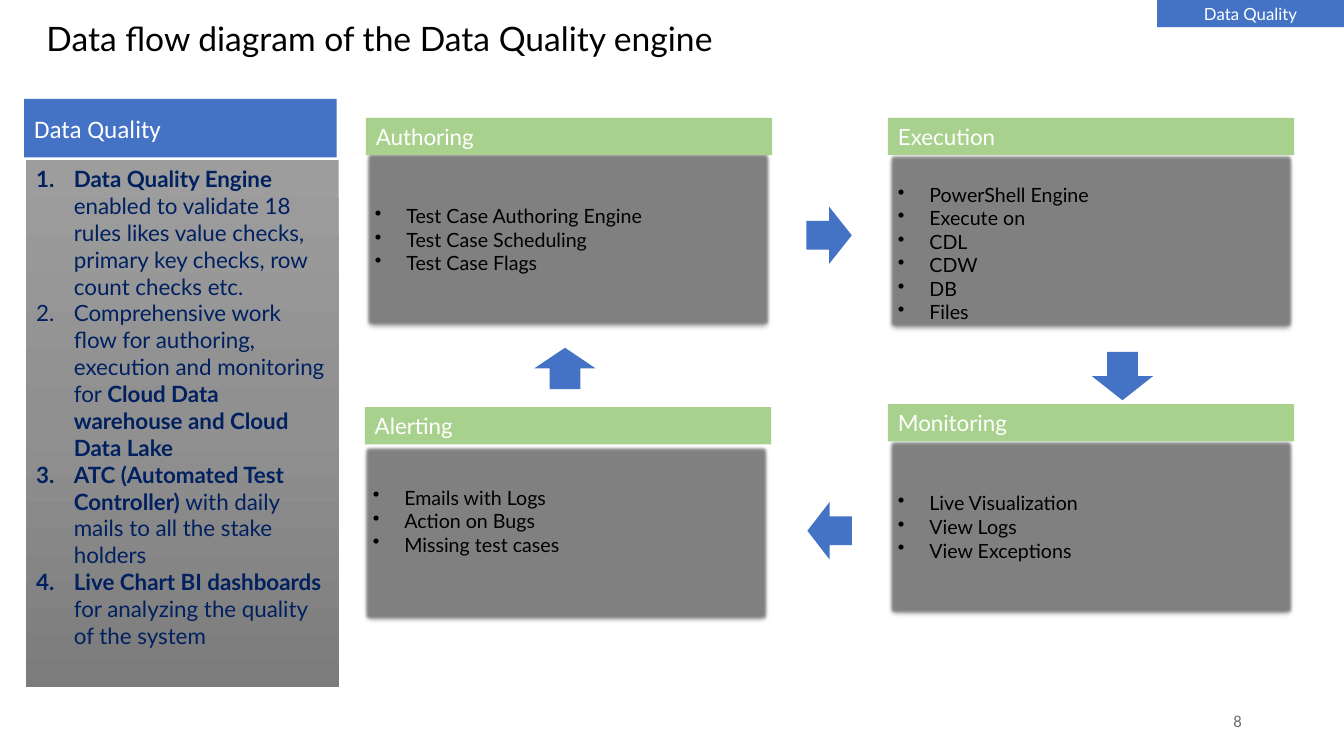
import copy

import pptx
import pptx.dml.color
import pptx.enum.shapes
import pptx.enum.text
import pptx.oxml
import pptx.oxml.ns
import pptx.util

Pt = pptx.util.Pt
SHAPE = pptx.enum.shapes.MSO_SHAPE
ALIGN = pptx.enum.text.PP_ALIGN
ANCHOR = pptx.enum.text.MSO_ANCHOR
qn = pptx.oxml.ns.qn

BLUE, GREEN, GREY, NAVY = "4472C4", "A9D18E", "808080", "002060"
WHITE, BLACK = "FFFFFF", "000000"
NS = 'xmlns:a="http://schemas.openxmlformats.org/drawingml/2006/main"'
DOT = f'<a:buChar {NS} char="•"/>'
NUMBER = f'<a:buAutoNum {NS} type="arabicPeriod"/>'
EFFECT = f"""<a:effectLst {NS}>
  <a:outerShdw blurRad="40000" dist="20000" dir="5400000" rotWithShape="0">
    <a:srgbClr val="000000"><a:alpha val="38000"/></a:srgbClr>
  </a:outerShdw>
  <a:softEdge rad="31750"/>
</a:effectLst>"""


def color(code):
    return pptx.dml.color.RGBColor.from_string(code)


def add_box(slide, box, fill, kind=SHAPE.RECTANGLE):
    shape = slide.shapes.add_shape(kind, *map(Pt, box))
    shape.shadow.inherit = False
    shape.fill.solid()
    shape.fill.fore_color.rgb = color(fill)
    shape.line.fill.background()
    return shape


def write(shape, paras, size, ink, font="Lato", align=ALIGN.LEFT,
          anchor=ANCHOR.MIDDLE, mark=None, indent=0):
    """Fill a shape with paragraphs, each a list of (text, bold) runs."""
    frame = shape.text_frame
    frame.word_wrap = True
    frame.vertical_anchor = anchor
    for i, runs in enumerate(paras):
        para = frame.paragraphs[0] if i == 0 else frame.add_paragraph()
        para.alignment = align
        if mark:
            props = para._p.get_or_add_pPr()
            props.set("marL", str(Pt(indent)))
            props.set("indent", str(-Pt(indent)))
            props.append(pptx.oxml.parse_xml(mark))
        for text, bold in runs:
            run = para.add_run()
            run.text = text
            run.font.name = font
            run.font.size = Pt(size)
            run.font.bold = bold
            run.font.color.rgb = color(ink)


def plain(*lines):
    return [[(line, False)] for line in lines]


def add_title(slide, box, text):
    title = slide.shapes.title
    title.left, title.top, title.width, title.height = map(Pt, box)
    write(title, plain(text), 24, BLACK)
    title.text_frame.paragraphs[0].line_spacing = 0.9


def add_stage(slide, box, name, items, drop, shift=0, lift=0):
    """Draw a header and its panel; shift and drop offset the panel."""
    left, top, width, height = box
    panel = add_box(slide, (left + shift, top + drop, width, height), GREY)
    panel.line.color.rgb = color("5B9BD5")
    panel.line.width = Pt(0.5)
    props = panel._element.spPr
    props.replace(props.find(qn("a:effectLst")), pptx.oxml.parse_xml(EFFECT))
    # A positive lift raises the centred list, a negative one lowers it.
    panel.text_frame.margin_top = Pt(3.6 + max(-lift, 0))
    panel.text_frame.margin_bottom = Pt(3.6 + max(lift, 0))
    write(panel, plain(*items), 14, BLACK, mark=DOT, indent=22.5)
    head = add_box(slide, (left, top, width, 26.6), GREEN)
    write(head, plain(name), 16, WHITE, anchor=ANCHOR.TOP)


def add_flow(slide):
    wide, high = 290.2, 126
    line = 17
    add_stage(slide, (261.4, 84.2, wide, high), "Authoring",
              ["Test Case Authoring Engine", "Test Case Scheduling",
               "Test Case Flags"], 23.8, -0.7)
    add_stage(slide, (634.3, 84.2, wide, high), "Execution",
              ["PowerShell Engine", "Execute on", "CDL", "CDW", "DB",
               "Files"], 25.2, lift=-line)
    add_stage(slide, (634.3, 288.7, wide, high), "Monitoring",
              ["Live Visualization", "View Logs", "View Exceptions"], 24.5)
    add_stage(slide, (260.6, 290.9, wide, high), "Alerting",
              ["Emails with Logs", "Action on Bugs", "Missing test cases"],
              26.6, -1.4, lift=line)
    for kind, turn, box in [
        (SHAPE.RIGHT_ARROW, 0, (576, 147.6, 32.4, 41)),
        (SHAPE.DOWN_ARROW, 0, (779.8, 251.3, 43.9, 34.6)),
        (SHAPE.RIGHT_ARROW, 180, (576.7, 358.6, 31.7, 41)),
        (SHAPE.DOWN_ARROW, 180, (381.6, 248.4, 43.9, 29.5)),
    ]:
        add_box(slide, box, BLUE, kind).rotation = turn


def shade(shape, codes):
    """Fill a shape from top to bottom with three evenly spaced colours."""
    shape.fill.gradient()
    shape.fill.gradient_angle = 270
    stops = shape._element.spPr.find(qn("a:gradFill")).find(qn("a:gsLst"))
    stops.insert(1, copy.deepcopy(stops[0]))
    for stop, code, place in zip(shape.fill.gradient_stops, codes,
                                 (0, 0.5, 1)):
        stop.color.rgb = color(code)
        stop.position = place


def add_panel(slide, box):
    left, top, width, height = box
    body = add_box(slide, (left + 1.4, top + 43.9, width, height - 43.9), GREY)
    shade(body, ("9D9D9D", "909090", "7C7C7C"))
    write(body, [
        [("Data Quality Engine ", True),
         ("enabled to validate 18 rules likes value checks, primary key "
          "checks, row count checks etc.", False)],
        [("Comprehensive work flow for authoring, execution and monitoring "
          "for ", False),
         ("Cloud Data warehouse and Cloud Data Lake", True)],
        [("ATC (Automated Test Controller) ", True),
         ("with daily mails to all the stake holders", False)],
        [("Live Chart BI dashboards ", True),
         ("for analyzing the quality of the system", False)],
    ], 16, NAVY, anchor=ANCHOR.TOP, mark=NUMBER, indent=27)
    head = add_box(slide, (left, top, width, 41.8), BLUE)
    write(head, plain("Data Quality"), 18, WHITE, "Calibri")


def main():
    deck = pptx.Presentation()
    deck.slide_width, deck.slide_height = Pt(960), Pt(540)
    slide = deck.slides.add_slide(deck.slide_layouts[5])
    add_title(slide, (26, 1.4, 911.5, 55.4),
              "Data flow diagram of the Data Quality engine")
    number = slide.shapes.add_textbox(*map(Pt, (678.2, 500.4, 216, 28.8)))
    write(number, plain("8"), 12, "6D6E71", "Calibri", ALIGN.RIGHT)
    add_flow(slide)
    add_panel(slide, (17.3, 70.6, 223.2, 419.8))
    tag = add_box(slide, (826.6, 0, 133.4, 19.4), BLUE)
    write(tag, plain("Data Quality"), 12, WHITE, align=ALIGN.CENTER)
    deck.save("out.pptx")


if __name__ == "__main__":
    main()
